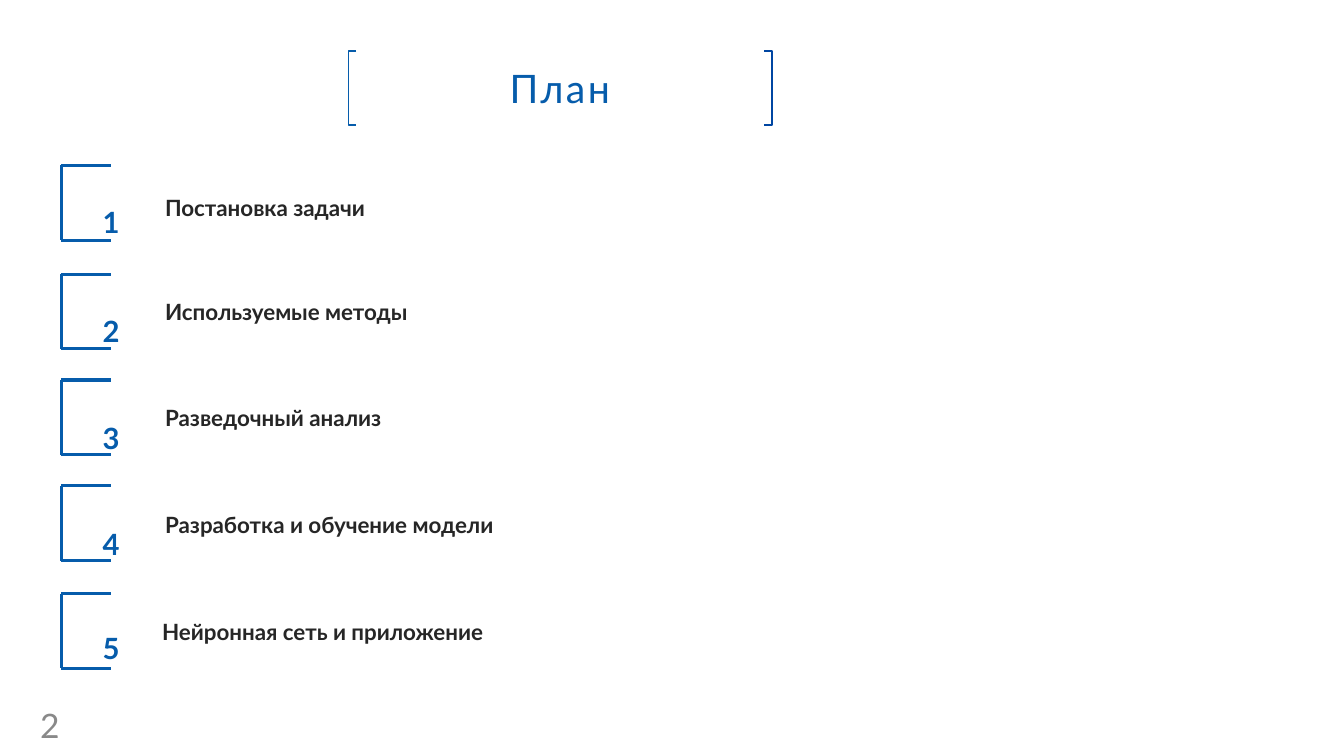
from dataclasses import dataclass
from itertools import pairwise

from lxml.etree import SubElement
from pptx import Presentation
from pptx.dml.color import RGBColor
from pptx.enum.shapes import MSO_CONNECTOR
from pptx.enum.text import MSO_ANCHOR, MSO_AUTO_SIZE, PP_ALIGN
from pptx.oxml import parse_xml
from pptx.oxml.ns import nsdecls, qn
from pptx.util import Inches, Pt

COLS, ROWS = 160, 90
WIDTH, HEIGHT = Inches(13.333), Inches(7.5)


@dataclass(frozen=True)
class Theme:
    """Colours, font and type sizes of the slide."""
    font: str = "Lato"
    blue: str = "065CAB"
    navy: str = "0046A2"
    ink: str = "262626"
    gray: str = "898989"
    white: str = "FFFFFF"
    title: int = 28
    digit: int = 36
    label: int = 16
    page: int = 24
    line: float = 19.2


@dataclass(frozen=True)
class Box:
    """A place on the grid, in columns and rows."""
    left: float
    top: float
    width: float
    height: float


@dataclass(frozen=True)
class Step:
    """A plan item with the rows of its frame, digit and label."""
    text: str
    frame: float
    digit: float
    label: float
    indent: float = 0.36


THEME = Theme()
TITLE = Box(41.5, 6.1, 50.3, 8.8)
LIST = Box(18.1, 22.56, 82, 55)
FRAME = Box(7.32, 0, 5.9, 8.9)
STEPS = [
    Step("Постановка задачи", 19.7, 23.04, 22.56),
    Step("Используемые методы", 32.64, 36, 34.92),
    Step("Разведочный анализ", 45.24, 48.72, 47.52),
    Step("Разработка и обучение модели", 57.84, 61.32, 60.24),
    Step("Нейронная сеть и приложение", 70.68, 73.68, 72.96, 0),
]


def col(num: float) -> int:
    """Turn columns into a length."""
    return round(WIDTH * num / COLS)


def row(num: float) -> int:
    """Turn rows into a length."""
    return round(HEIGHT * num / ROWS)


def put(para, text: str, *, size: float, color: str, bold: bool = False,
        align=PP_ALIGN.LEFT, before: float = 0, raised: int = 0,
        track: int = 0, edge: float = 0) -> None:
    """Write one formatted run into a paragraph."""
    para.alignment = align
    para.line_spacing = 1.0
    para.space_before = Pt(before)
    run = para.add_run()
    run.text = text
    font = run.font
    font.name, font.size, font.bold = THEME.font, Pt(size), bold
    font.color.rgb = RGBColor.from_string(color)
    props = run._r.get_or_add_rPr()
    if raised:
        props.set("baseline", str(raised * 1000))
    if track:
        props.set("spc", str(track))
    if edge:
        props.insert(0, parse_xml(
            f'<a:ln {nsdecls("a")} w="{Pt(edge)}"><a:solidFill>'
            f'<a:srgbClr val="{color}"/></a:solidFill></a:ln>'))


def place(shape, box: Box) -> None:
    """Move a shape to its place on the grid."""
    shape.left, shape.top = col(box.left), row(box.top)
    shape.width, shape.height = col(box.width), row(box.height)


def note(slide, box: Box, text: str, anchor=MSO_ANCHOR.TOP, **style) -> None:
    """Add a text box with one line."""
    shape = slide.shapes.add_textbox(0, 0, 0, 0)
    place(shape, box)
    frame = shape.text_frame
    frame.word_wrap, frame.vertical_anchor = True, anchor
    put(frame.paragraphs[0], text, **style)


def rule(slide, left: float, top: float, right: float, end: float) -> None:
    """Draw one straight blue line."""
    line = slide.shapes.add_connector(
        MSO_CONNECTOR.STRAIGHT, col(left), row(top), col(right), row(end))
    line.line.width = Pt(2.25)
    line.line.color.rgb = RGBColor.from_string(THEME.blue)
    SubElement(line._element.spPr, qn("a:effectLst"))


def clasp(slide, side: float, tip: float, color: str) -> None:
    """Draw one bracket beside the title."""
    top, end = TITLE.top, TITLE.top + TITLE.height
    path = slide.shapes.build_freeform(col(tip), row(top))
    path.add_line_segments([(col(side), row(top)), (col(side), row(end)),
                            (col(tip), row(end))], close=False)
    shape = path.convert_to_shape()
    shape.shadow.inherit = False
    shape.fill.background()
    shape.line.width = Pt(1.3)
    shape.line.color.rgb = RGBColor.from_string(color)


def head(slide) -> None:
    """Fill the title and draw its brackets."""
    title = slide.shapes.title
    place(title, TITLE)
    white = RGBColor.from_string(THEME.white)
    title.fill.solid()
    title.fill.fore_color.rgb = white
    title.line.color.rgb, title.line.width = white, Pt(2)
    frame = title.text_frame
    frame.auto_size = MSO_AUTO_SIZE.NONE
    frame.vertical_anchor = MSO_ANCHOR.MIDDLE
    frame.margin_left = frame.margin_right = 0
    frame.margin_top = frame.margin_bottom = 0
    put(frame.paragraphs[0], "План", size=THEME.title, color=THEME.blue,
        align=PP_ALIGN.CENTER, track=180, edge=0.75)
    clasp(slide, 41.5, 42.4, THEME.blue)
    clasp(slide, 91.9, 91, THEME.navy)


def plan(slide) -> None:
    """Fill the list, spaced to match the label rows."""
    body = slide.placeholders[1]
    place(body, LIST)
    frame = body.text_frame
    frame.auto_size = MSO_AUTO_SIZE.NONE
    frame.vertical_anchor = MSO_ANCHOR.TOP
    gaps = [0] + [row(b.label - a.label) / Pt(1) - THEME.line
                  for a, b in pairwise(STEPS)]
    for step, gap in zip(STEPS, gaps):
        para = frame.add_paragraph() if gap else frame.paragraphs[0]
        props = para._p.get_or_add_pPr()
        props.set("marL", str(col(step.indent)))
        props.set("indent", "0")
        SubElement(props, qn("a:buNone"))
        put(para, step.text, size=THEME.label, color=THEME.ink, bold=True,
            before=gap)


def mark(slide, step: Step, num: int) -> None:
    """Draw the open frame and digit of a plan item."""
    left, top = FRAME.left, step.frame
    right, end = left + FRAME.width, top + FRAME.height
    rule(slide, left, top, left, end)
    for edge in (top, end):
        rule(slide, left, edge, right, edge)
    note(slide, Box(11.04, step.digit, 14.2, 6), str(num), size=THEME.digit,
         color=THEME.blue, bold=True, raised=30)


def main() -> None:
    """Build the slide and save it."""
    deck = Presentation()
    deck.slide_width, deck.slide_height = WIDTH, HEIGHT
    slide = deck.slides.add_slide(deck.slide_layouts[1])
    head(slide)
    plan(slide)
    for num, step in enumerate(STEPS, 1):
        mark(slide, step, num)
    note(slide, Box(3.6, 84.5, 7.4, 3.6), "2", MSO_ANCHOR.MIDDLE,
         size=THEME.page, color=THEME.gray)
    deck.save("out.pptx")


if __name__ == "__main__":
    main()
